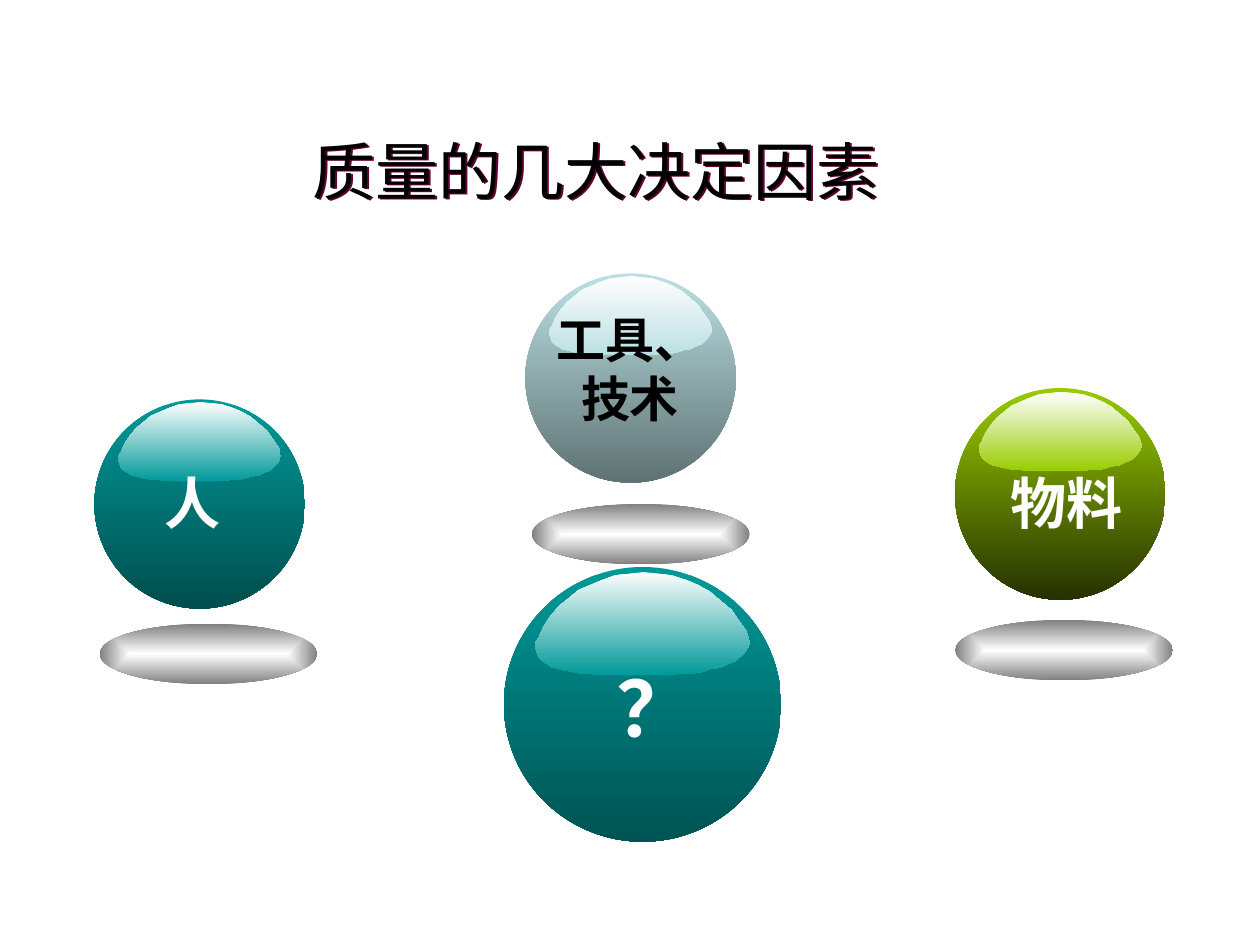
from lxml.etree import SubElement
from pptx import Presentation
from pptx.dml.color import RGBColor
from pptx.enum.shapes import MSO_SHAPE
from pptx.enum.text import MSO_AUTO_SIZE, PP_ALIGN
from pptx.oxml.ns import qn
from pptx.util import Inches, Pt

TEAL, PALE, LIME = "009999", "BBE0E3", "99CC00"
NEAR_WHITE, WHITE, BLACK = "FEFEFE", "FFFFFF", "000000"

GLOSS_SIZE = (129, 63)
GLOSS_POINTS = [
    (127, 36), (128, 39), (129, 43), (128, 46), (126, 49), (124, 51), (121, 54),
    (116, 56), (112, 58), (106, 59), (100, 61), (94, 62), (87, 62), (80, 63),
    (46, 63), (40, 63), (34, 62), (28, 62), (23, 61), (18, 60), (14, 59),
    (10, 58), (7, 56), (4, 54), (2, 52), (1, 49), (0, 46), (0, 43), (2, 40),
    (5, 33), (9, 27), (14, 21), (20, 16), (26, 11), (33, 8), (40, 5), (48, 2),
    (57, 1), (65, 0), (74, 1), (82, 2), (91, 5), (98, 8), (105, 12), (112, 18),
    (118, 23), (122, 29),
]

SPHERES = [
    ((0.75, 3.17, 1.67, 1.66), (0.94, 3.19, 1.29, 0.63), TEAL, "004E4E", NEAR_WHITE),
    ((4.17, 2.17, 1.67, 1.66), (4.36, 2.19, 1.29, 0.63), PALE, "5F7274", NEAR_WHITE),
    ((7.58, 3.08, 1.67, 1.68), (7.77, 3.11, 1.29, 0.63), LIME, "253100", WHITE),
    ((4, 4.5, 2.2, 2.18), (4.25, 4.54, 1.7, 0.82), TEAL, "005353", NEAR_WHITE),
]
PEDESTALS = [(0.79, 4.95), (4.22, 4), (7.58, 4.92)]
LABELS = [
    ("人", (0.82, 3.67, 1.42, 0.64), 32, WHITE, True),
    ("工具、技术", (4.25, 2.41, 1.5, 1.04), 28, BLACK, True),
    ("物料", (7.84, 3.67, 1.25, 0.64), 32, WHITE, True),
    ("？", (4.79, 5.19, 0.81, 0.84), 44, WHITE, False),
]


def color(value):
    """Turn a hex string into a colour."""
    return RGBColor.from_string(value)


def paint(shape, start, end):
    """Fill a shape from top to bottom, without line or shadow."""
    shape.shadow.inherit = False
    shape.line.fill.background()
    shape.fill.gradient()
    shape.fill.gradient_angle = 270
    for stop, value in zip(shape.fill.gradient_stops, (start, end)):
        stop.color.rgb = color(value)


def add_ellipse(shapes, place, start, end):
    """Add an ellipse with a two-colour gradient."""
    ellipse = shapes.add_shape(MSO_SHAPE.OVAL, *map(Inches, place))
    paint(ellipse, start, end)
    return ellipse


def add_gloss(shapes, place, start, end):
    """Add the highlight of a sphere, scaled to its place."""
    left, top, width, height = place
    points = [
        (Inches(left + width * x / GLOSS_SIZE[0]), Inches(top + height * y / GLOSS_SIZE[1]))
        for x, y in GLOSS_POINTS
    ]
    builder = shapes.build_freeform(*points[0])
    builder.add_line_segments(points[1:], close=True)
    paint(builder.convert_to_shape(), start, end)


def add_sphere(page, place, gloss_place, base, shade, shine):
    """Add a glossy sphere as a group."""
    group = page.shapes.add_group_shape()
    add_ellipse(group.shapes, place, base, shade)
    add_gloss(group.shapes, gloss_place, shine, base)


def add_pedestal(page, left, top):
    """Add a grey disc that is white at its centre."""
    disc = add_ellipse(page.shapes, (left, top, 1.73, 0.48), WHITE, "808080")
    gradient = disc._element.spPr.find(qn("a:gradFill"))
    gradient.remove(gradient.find(qn("a:lin")))
    center = SubElement(gradient, qn("a:path"), path="rect")
    SubElement(center, qn("a:fillToRect"), dict.fromkeys("ltrb", "50000"))


def add_label(page, text, place, size, ink, wrap, bold=True):
    """Add a centred line of text."""
    box = page.shapes.add_textbox(*map(Inches, place))
    box.text_frame.word_wrap = wrap
    box.text_frame.auto_size = MSO_AUTO_SIZE.SHAPE_TO_FIT_TEXT
    para = box.text_frame.paragraphs[0]
    para.alignment = PP_ALIGN.CENTER
    span = para.add_run()
    span.text = text
    span.font.color.rgb = color(ink)
    for name, value in {"name": "Arial", "size": Pt(size), "bold": bold}.items():
        setattr(span.font, name, value)
    return box


def add_text_shadow(box, value):
    """Give the text of an unfilled box a hard shadow."""
    effects = SubElement(box._element.spPr, qn("a:effectLst"))
    shadow = SubElement(effects, qn("a:outerShdw"), dist=str(Inches(0.02)), dir="2700000")
    SubElement(shadow, qn("a:srgbClr"), val=value)


def main():
    """Build the slide on the factors of quality."""
    deck = Presentation()
    deck.slide_width, deck.slide_height = Inches(10), Inches(7.5)
    page = deck.slides.add_slide(deck.slide_layouts[6])
    for sphere in SPHERES:
        add_sphere(page, *sphere)
    for pedestal in PEDESTALS:
        add_pedestal(page, *pedestal)
    for label in LABELS:
        add_label(page, *label)
    title = add_label(page, "质量的几大决定因素", (2.38, 1, 4.7, 0.7), 36, BLACK, False, bold=False)
    add_text_shadow(title, "660033")
    deck.save("out.pptx")


if __name__ == "__main__":
    main()
